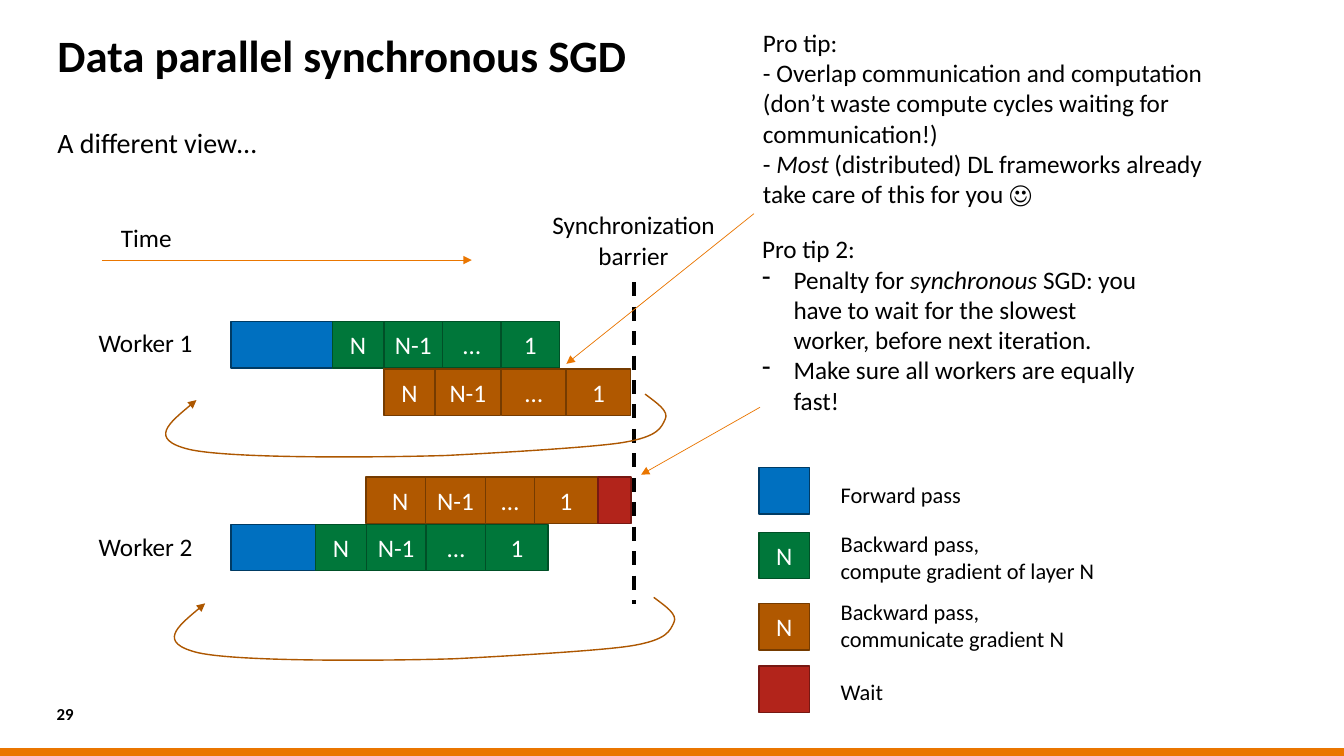
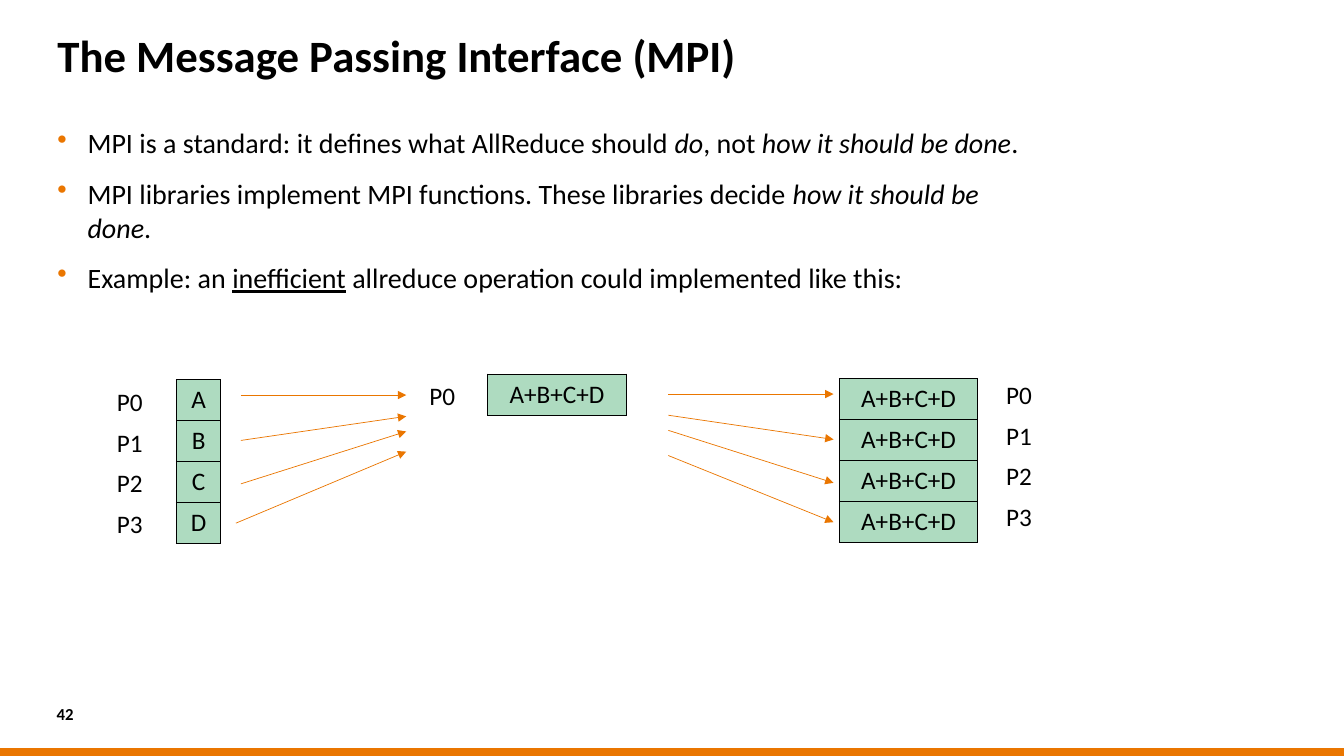
from lxml.etree import SubElement
from pptx import Presentation
from pptx.dml.color import RGBColor
from pptx.enum.dml import MSO_LINE
from pptx.enum.shapes import MSO_CONNECTOR, MSO_SHAPE
from pptx.enum.text import PP_ALIGN
from pptx.oxml.ns import qn
from pptx.util import Pt

FONT = "Calibri"
ORANGE, BROWN_LINE, MINT = "EA7600", "AD5700", "AEDBC0"
BLACK, WHITE = "000000", "FFFFFF"
LEFT, CENTER = PP_ALIGN.LEFT, PP_ALIGN.CENTER
color = RGBColor.from_string


def write(frame, paragraphs, size=18, bold=False, ink=BLACK, align=LEFT, gap=0):
    """Fill a frame; a paragraph is a string or a list of (text, style) runs."""
    frame.word_wrap = True
    frame.margin_left = frame.margin_right = frame.margin_top = frame.margin_bottom = 0
    for index, runs in enumerate(paragraphs):
        paragraph = frame.add_paragraph() if index else frame.paragraphs[0]
        paragraph.alignment = align
        paragraph.space_before = paragraph.space_after = Pt(gap)
        for text, style in [(runs, "")] if isinstance(runs, str) else runs:
            run = paragraph.add_run()
            run.text = text
            font = run.font
            font.name, font.size, font.bold = FONT, Pt(size), bold
            font.italic, font.underline = style == "italic", style == "underline"
            font.color.rgb = color(ink)
    return frame


def style_line(shape, ink=ORANGE, width=0.5, arrow=True):
    """Colour a connector or outline, drop its shadow and add an arrowhead."""
    shape.line.color.rgb = color(ink)
    shape.line.width = Pt(width)
    properties = shape.element.spPr
    if arrow:
        SubElement(properties.find(qn("a:ln")), qn("a:tailEnd"), type="triangle")
    SubElement(properties, qn("a:effectLst"))


presentation = Presentation()
presentation.slide_width, presentation.slide_height = Pt(960), Pt(540)

# Shared frame: bottom band, title and page number
slides = []
for title, number in [("Data parallel synchronous SGD", "29"),
                      ("The Message Passing Interface (MPI)", "42")]:
    slide = presentation.slides.add_slide(presentation.slide_layouts[6])
    slides.append(slide)
    band = slide.shapes.add_shape(MSO_SHAPE.RECTANGLE, 0, Pt(534.4), Pt(960), Pt(5.6))
    band.shadow.inherit = False
    band.fill.solid()
    band.fill.fore_color.rgb = color(ORANGE)
    band.line.fill.background()
    title_box = slide.shapes.add_textbox(Pt(41), Pt(27.4), Pt(878), Pt(42))
    write(title_box.text_frame, [title], 32, True).paragraphs[0].line_spacing = 0.8
    number_box = slide.shapes.add_textbox(Pt(40.5), Pt(503), Pt(31), Pt(15))
    write(number_box.text_frame, [number], 12, True)
timeline, mpi = (slide.shapes for slide in slides)

# Slide 1: subtitle and diagram labels
body = timeline.add_textbox(Pt(41), Pt(90), Pt(706), Pt(371))
write(body.text_frame, ["A different view…"], 20, gap=6)
for text, left, top in [("Worker 1", 70.5, 234), ("Worker 2", 70.5, 379.4), ("Time", 86.4, 159.1)]:
    label = timeline.add_textbox(Pt(left), Pt(top), Pt(80), Pt(22))
    write(label.text_frame, [text])
barrier_label = timeline.add_textbox(Pt(387.5), Pt(149.8), Pt(130), Pt(44))
write(barrier_label.text_frame, ["Synchronization", "barrier"], align=CENTER)

# Synchronization barrier
barrier = timeline.add_connector(MSO_CONNECTOR.STRAIGHT, Pt(453), Pt(201.6), Pt(453), Pt(431.3))
barrier.line.dash_style = MSO_LINE.DASH
style_line(barrier, BLACK, 2.5, arrow=False)

# Loops back to the next iteration: a start, then three points per Bézier curve
loop_points = [
    (460.8, 281.5),
    (469.4, 288), (478.1, 293.8), (475.2, 299.5),
    (472.3, 305.3), (470.9, 311.8), (445, 316.1),
    (419, 320.4), (318.2, 325.4), (318.2, 325.4),
    (266.4, 326.9), (164.9, 327.6), (135.4, 321.1),
    (105.8, 313.9), (123.1, 300.2), (140.4, 285.8),
]
for shift_x, shift_y in [(0, 0), (6.2, 145.2)]:
    start, *controls = [(Pt(x + shift_x), Pt(y + shift_y)) for x, y in loop_points]
    builder = timeline.build_freeform(*start, scale=1.0)
    builder.add_line_segments(controls, close=False)
    loop = builder.convert_to_shape()
    loop.fill.background()
    style_line(loop, BROWN_LINE, 1)
    segments = list(loop.element.iter(qn("a:lnTo")))
    for first in range(0, len(segments), 3):
        curve = SubElement(segments[first].getparent(), qn("a:cubicBezTo"))
        for segment in segments[first:first + 3]:
            curve.append(segment[0])
            segment.getparent().remove(segment)

# Blocks of the two workers and of the legend: kind, label, left, width
kinds = {
    "forward": ("0070C0", "003B64"),
    "compute": ("00773A", "005027"),
    "communicate": ("B05800", "753B00"),
    "wait": ("B2241B", "771812"),
}
block_rows = [
    (229.7, [("forward", "", 165, 72.6), ("compute", "N", 237.6, 36.3),
             ("compute", "N-1", 274.3, 41.8), ("compute", "…", 316.1, 41.8),
             ("compute", "1", 357.9, 41.8)]),
    (263.5, [("communicate", "N", 274.3, 36.3), ("communicate", "N-1", 311, 46.4),
             ("communicate", "…", 358.2, 46.2), ("communicate", "1", 404.4, 46.2)]),
    (340.8, [("communicate", "N", 261.4, 49), ("communicate", "N-1", 303.8, 43.2),
             ("communicate", "…", 347, 34.6), ("communicate", "1", 381.6, 45.4),
             ("wait", "", 427, 23.6)]),
    (374.5, [("forward", "", 165, 60.4), ("compute", "N", 225.4, 36.3),
             ("compute", "N-1", 262, 42), ("compute", "…", 304.4, 42.6),
             ("compute", "1", 347, 44.6)]),
]
legend = [
    (334.1, "forward", "", 343.4, ["Forward pass"]),
    (380.2, "compute", "N", 378.7, ["Backward pass,", "compute gradient of layer N"]),
    (431.1, "communicate", "N", 427, ["Backward pass,", "communicate gradient N"]),
    (475.6, "wait", "", 484.6, ["Wait"]),
]
block_rows += [(top, [(kind, mark, 542, 36.3)]) for top, kind, mark, *_ in legend]
for top, blocks in block_rows:
    for kind, text, left, width in blocks:
        block = timeline.add_shape(MSO_SHAPE.RECTANGLE, Pt(left), Pt(top), Pt(width), Pt(33.2))
        fill, outline = kinds[kind]
        block.fill.solid()
        block.fill.fore_color.rgb = color(fill)
        style_line(block, outline, 1, arrow=False)
        if text:
            write(block.text_frame, [text], ink=WHITE, align=CENTER)
for *_, top, lines in legend:
    meaning = timeline.add_textbox(Pt(600.5), Pt(top), Pt(210), Pt(20 * len(lines)))
    write(meaning.text_frame, lines, 16)

# Tips
tip_box = timeline.add_textbox(Pt(545), Pt(19.4), Pt(348.5), Pt(131))
write(tip_box.text_frame, [
    "Pro tip:",
    "- Overlap communication and computation (don’t waste compute cycles waiting for communication!)",
    [("- ", ""), ("Most ", "italic"),
     ("(distributed) DL frameworks already take care of this for you ☺", "")],
])
penalty_box = timeline.add_textbox(Pt(544.3), Pt(167), Pt(281.5), Pt(131))
penalty = write(penalty_box.text_frame, [
    "Pro tip 2:",
    [("Penalty for ", ""), ("synchronous", "italic"),
     (" SGD: you have to wait for the slowest worker, before next iteration.", "")],
    "Make sure all workers are equally fast!",
])

# Slide 2: bullet points
points_box = mpi.add_textbox(Pt(41), Pt(90), Pt(706), Pt(371))
points = write(points_box.text_frame, [
    [("MPI is a standard: it defines what AllReduce should ", ""), ("do", "italic"),
     (", not ", ""), ("how it should be done", "italic"), (".", "")],
    [("MPI libraries implement MPI functions. These libraries decide ", ""),
     ("how it should be done", "italic"), (".", "")],
    [("Example: an ", ""), ("inefficient", "underline"),
     (" allreduce operation could implemented like this:", "")],
], 20, gap=6)

# Tables of values with their process labels
total, row_height = "A+B+C+D", 29.2
for left, top, width, values, label_left, label_top in [
    (126, 271.2, 31.7, list("ABCD"), 83.5, 275.8),
    (348.5, 267.3, 98.8, [total], 306.7, 271.6),
    (599.6, 270.6, 98.8, [total] * 4, 718.6, 270.9),
]:
    table = mpi.add_table(len(values), 1, Pt(left), Pt(top), Pt(width),
                          Pt(row_height * len(values))).table
    table.first_row = table.horz_banding = False
    for row, value in enumerate(values):
        table.rows[row].height = Pt(row_height)
        cell = table.cell(row, 0)
        cell.margin_left = cell.margin_right = cell.margin_bottom = 0
        cell.margin_top = Pt(3.6)
        cell_properties = cell._tc.get_or_add_tcPr()
        for side in ("a:lnL", "a:lnR", "a:lnT", "a:lnB"):
            border = SubElement(cell_properties, qn(side), w=str(Pt(1)))
            SubElement(SubElement(border, qn("a:solidFill")), qn("a:srgbClr"), val=BLACK)
        cell.fill.solid()
        cell.fill.fore_color.rgb = color(MINT)
        write(cell.text_frame, [value], align=CENTER)
        process = mpi.add_textbox(Pt(label_left), Pt(label_top + 29.1 * row), Pt(30), Pt(22))
        write(process.text_frame, [f"P{row}"])

# Arrows of both slides: start and end
for shapes, arrows in [
    (timeline, [(72.7, 185.8, 337, 185.8), (538.6, 152.6, 404.6, 259.9),
                (542.9, 290.9, 457.9, 339.1)]),
    (mpi, [(172.1, 282.2, 290.2, 282.2), (172.1, 314.6, 290.2, 297.4),
           (172.1, 345.6, 290.2, 308.2), (168.5, 373.7, 290.2, 322.6),
           (477.4, 281.5, 595.4, 281.5), (477.4, 296.6, 595.4, 313.9),
           (477.4, 307.4, 595.4, 344.9), (477.4, 325.4, 595.4, 373)]),
]:
    for ends in arrows:
        style_line(shapes.add_connector(MSO_CONNECTOR.STRAIGHT, *map(Pt, ends)))

# Bullets of both slides
for paragraphs, mark, indent, ink in [(penalty.paragraphs[1:], "-", 22.5, BLACK),
                                      (points.paragraphs, "•", 21.6, ORANGE)]:
    for paragraph in paragraphs:
        properties = paragraph._p.get_or_add_pPr()
        properties.set("marL", str(Pt(indent)))
        properties.set("indent", str(-Pt(indent)))
        SubElement(SubElement(properties, qn("a:buClr")), qn("a:srgbClr"), val=ink)
        SubElement(properties, qn("a:buChar"), char=mark)

presentation.save("out.pptx")
